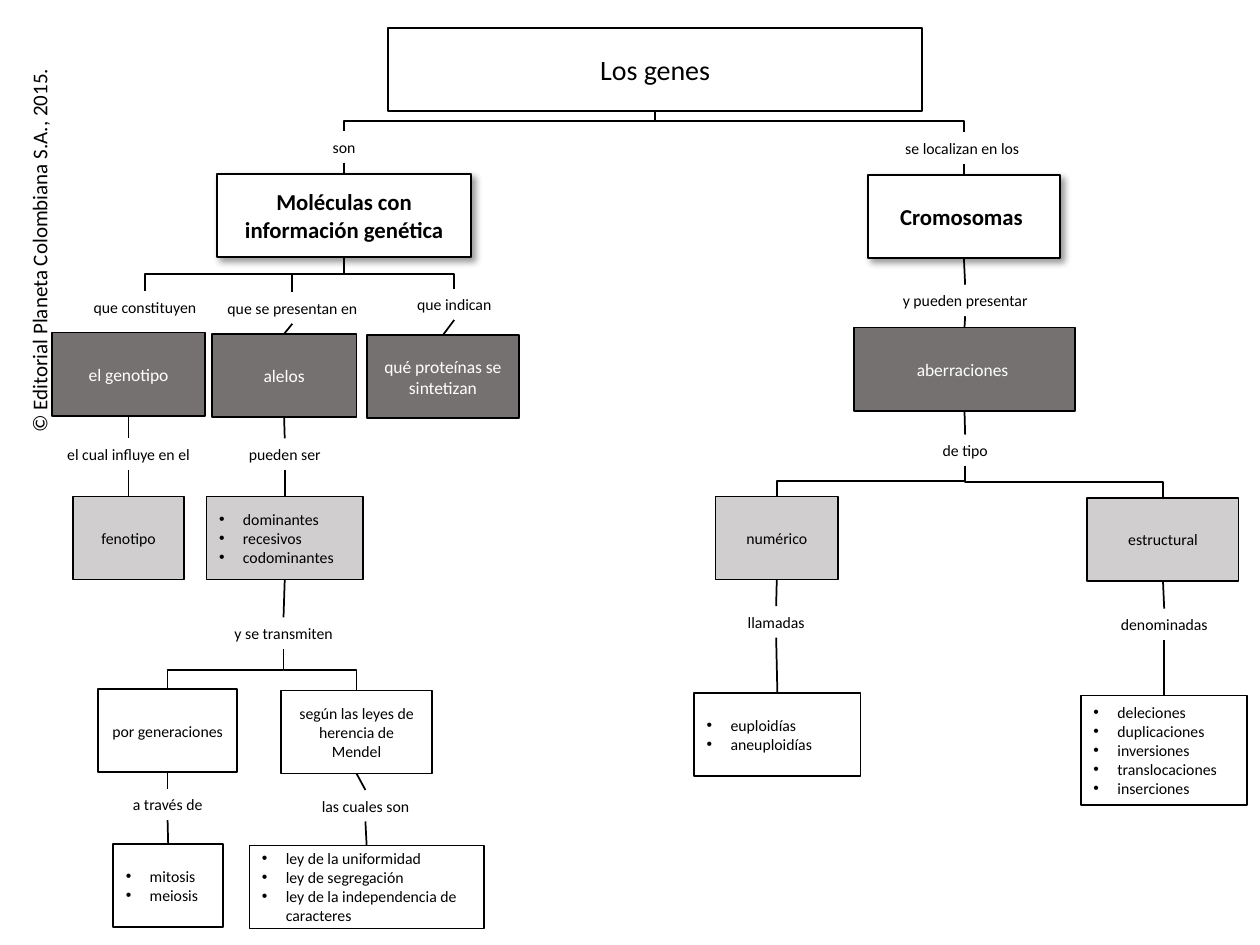
from dataclasses import dataclass

from lxml.etree import SubElement
from pptx import Presentation
from pptx.dml.color import RGBColor
from pptx.enum.shapes import MSO_CONNECTOR, MSO_SHAPE
from pptx.enum.text import MSO_ANCHOR, PP_ALIGN
from pptx.oxml.ns import qn
from pptx.util import Inches, Pt

# Grid of 100 columns by 75 rows; every place and length below counts cells.
COLUMNS, ROWS = 100, 75
BOX_ROWS, LABEL_ROWS = 6.6, 2.5
BULLET_INDENT = 1.9

COPYRIGHT = "© Editorial Planeta Colombiana S.A., 2015."
COPYRIGHT_PLACE = (3.1, 18.2, 31.2, 3)

# Concepts: style, centre column, top row, columns wide, text (a tuple is a bulleted list)
CONCEPTS = [
    ("title", 52, 2.2, 42.4, "Los genes"),
    ("heading", 27.3, 13.8, 20.2, "Moléculas con información genética"),
    ("heading", 76.5, 13.9, 15.2, "Cromosomas "),
    ("dark", 10.2, 26.4, 12.2, "el genotipo"),
    ("dark", 22.55, 26.5, 11.5, "alelos"),
    ("dark", 35.15, 26.6, 12.1, "qué proteínas se sintetizan"),
    ("dark", 76.55, 26, 17.5, "aberraciones "),
    ("light", 10.2, 39.4, 8.8, "fenotipo"),
    ("light", 22.6, 39.4, 12.4, ("dominantes", "recesivos", "codominantes")),
    ("light", 61.65, 39.4, 9.7, "numérico"),
    ("light", 92.3, 39.5, 12, "estructural"),
    ("plain", 13.3, 54.7, 11, "por generaciones"),
    ("plain", 28.3, 54.8, 12, "según las leyes de herencia de Mendel"),
    ("plain", 61.7, 55, 13.2, ("euploidías", "aneuploidías")),
    ("tall", 92.4, 55.2, 13.2,
     ("deleciones", "duplicaciones", "inversiones", "translocaciones", "inserciones")),
    ("plain", 13.35, 67, 8.7, ("mitosis", "meiosis")),
    ("plain", 29.1, 67.1, 18.6,
     ("ley de la uniformidad", "ley de segregación", "ley de la independencia de caracteres")),
]

# Linking words: centre column, top row, columns wide, text
LINKING_WORDS = [
    (27.3, 10.4, 15.2, "son"),
    (76.5, 10.5, 15.2, "se localizan en los "),
    (11.5, 23.1, 15.2, "que constituyen"),
    (23.2, 23.2, 13.6, "que se presentan en"),
    (36.05, 22.9, 11.7, "que indican"),
    (76.6, 22.6, 13.6, "y pueden presentar"),
    (10.2, 34.8, 13.6, "el cual influye en el"),
    (22.6, 34.8, 13.6, "pueden ser"),
    (76.6, 34.5, 15.2, "de tipo"),
    (22.5, 49, 15.2, "y se transmiten"),
    (61.6, 48.1, 15.2, "llamadas"),
    (92.4, 48.3, 15.2, "denominadas"),
    (13.3, 62.6, 15.2, "a través de"),
    (29, 62.7, 15.2, "las cuales son"),
]

# Straight chains, named by the text (or first list item) of each part
CHAINS = [
    ("son", "Moléculas con información genética"),
    ("se localizan en los ", "Cromosomas ", "y pueden presentar", "aberraciones ", "de tipo"),
    ("el genotipo", "el cual influye en el", "fenotipo"),
    ("que se presentan en", "alelos", "pueden ser", "dominantes", "y se transmiten"),
    ("que indican", "qué proteínas se sintetizan"),
    ("por generaciones", "a través de", "mitosis"),
    ("según las leyes de herencia de Mendel", "las cuales son", "ley de la uniformidad"),
    ("numérico", "llamadas", "euploidías"),
    ("estructural", "denominadas", "deleciones"),
]

# Forks: parent, children joined to it, children joined to its crossbar, children hung below it
FORKS = [
    ("Los genes", ["son"], ["se localizan en los "], []),
    ("Moléculas con información genética", ["que constituyen"], ["que indican"],
     ["que se presentan en"]),
    ("de tipo", ["numérico", "estructural"], [], []),
    ("y se transmiten", ["según las leyes de herencia de Mendel"], ["por generaciones"], []),
]


@dataclass(frozen=True)
class Theme:
    black = RGBColor(0, 0, 0)
    white = RGBColor(255, 255, 255)
    dark = RGBColor(0x76, 0x71, 0x71)
    light = RGBColor(0xD0, 0xCE, 0xCE)
    font = "Calibri"
    line = Pt(1)
    title, heading, copyright, concept, small = Pt(16), Pt(13), Pt(12), Pt(10), Pt(9)


THEME = Theme()
# Style: fill, text colour, type size, bold, rows high
STYLES = {
    "title": (THEME.white, THEME.black, THEME.title, False, BOX_ROWS),
    "heading": (THEME.white, THEME.black, THEME.heading, True, BOX_ROWS),
    "dark": (THEME.dark, THEME.white, THEME.concept, False, BOX_ROWS),
    "light": (THEME.light, THEME.black, THEME.small, False, BOX_ROWS),
    "plain": (THEME.white, THEME.black, THEME.small, False, BOX_ROWS),
    "tall": (THEME.white, THEME.black, THEME.small, False, 8.7),
}

deck = Presentation()
deck.slide_width, deck.slide_height = Inches(10), Inches(7.5)
CELL = deck.slide_width / COLUMNS
slide = deck.slides.add_slide(deck.slide_layouts[6])
parts = {}


def cells(*counts):
    return [round(count * CELL) for count in counts]


def apply(target, **formats):
    for attribute, value in formats.items():
        setattr(target, attribute, value)


def write(frame, text, color, size, bold=False, align=PP_ALIGN.CENTER):
    items = [text] if isinstance(text, str) else text
    for index, item in enumerate(items):
        paragraph = frame.add_paragraph() if index else frame.paragraphs[0]
        paragraph.alignment = align
        if items is text:
            paragraph.alignment = PP_ALIGN.LEFT
            indent, = cells(BULLET_INDENT)
            properties = paragraph._p.get_or_add_pPr()
            properties.set("marL", str(indent))
            properties.set("indent", str(-indent))
            SubElement(properties, qn("a:buFont"), typeface="Arial")
            SubElement(properties, qn("a:buChar"), char="•")
        run = paragraph.add_run()
        run.text = item
        apply(run.font, name=THEME.font, size=size, bold=bold)
        run.font.color.rgb = color


def cast_shadow(shape):
    effects = shape._element.spPr.find(qn("a:effectLst"))
    shadow = SubElement(effects, qn("a:outerShdw"), blurRad=str(Pt(4)), dist=str(Pt(3)),
                        dir="2700000", algn="tl", rotWithShape="0")
    color = SubElement(shadow, qn("a:srgbClr"), val=str(THEME.black))
    SubElement(color, qn("a:alpha"), val="40000")


def add_concept(style, centre, row, width, text):
    fill, color, size, bold, height = STYLES[style]
    box = slide.shapes.add_shape(MSO_SHAPE.RECTANGLE,
                                 *cells(centre - width / 2, row, width, height))
    box.shadow.inherit = False
    if style == "heading":
        cast_shadow(box)
    box.fill.solid()
    box.fill.fore_color.rgb = fill
    box.line.color.rgb = THEME.black
    box.line.width = THEME.line
    apply(box.text_frame, word_wrap=True, vertical_anchor=MSO_ANCHOR.MIDDLE)
    write(box.text_frame, text, color, size, bold)
    parts[text if isinstance(text, str) else text[0]] = box


def add_linking_words(centre, row, width, text):
    label = slide.shapes.add_textbox(*cells(centre - width / 2, row, width, LABEL_ROWS))
    label.text_frame.word_wrap = True
    write(label.text_frame, text, THEME.black, THEME.small)
    parts[text] = label


def connect(kind, *ends):
    connector = slide.shapes.add_connector(kind, *ends)
    connector.line.color.rgb = THEME.black
    connector.line.width = THEME.line
    SubElement(connector._element.spPr, qn("a:effectLst"))
    return connector


def middle(part):
    return part.left + part.width // 2


def add_step(x1, y1, x2, y2):
    """Connector that runs down, across and down again: an elbow turned a quarter."""
    run, drop = abs(x2 - x1), y2 - y1
    elbow = connect(MSO_CONNECTOR.ELBOW, 0, 0, drop, run)
    apply(elbow, left=(x1 + x2 - drop) // 2, top=(y1 + y2 - run) // 2)
    transform = elbow._element.spPr.find(qn("a:xfrm"))
    transform.set("rot", str((90 if x2 < x1 else 270) * 60000))
    if x2 > x1:
        transform.set("flipH", "1")


def add_fork(parent, joined, branches, hung):
    stem = parts[parent]
    x, bottom = middle(stem), stem.top + stem.height
    crossbar = (bottom + parts[joined[0]].top) // 2
    for child in map(parts.get, joined):
        add_step(x, bottom, middle(child), child.top)
    for child in map(parts.get, branches):
        corner = connect(MSO_CONNECTOR.ELBOW, x, crossbar, middle(child), child.top)
        corner._element.spPr.find(qn("a:prstGeom")).set("prst", "bentConnector2")
    for child in map(parts.get, hung):
        connect(MSO_CONNECTOR.STRAIGHT, middle(child), crossbar, middle(child), child.top)


credit = slide.shapes.add_textbox(*cells(-12.5, *COPYRIGHT_PLACE[1:]))
credit.rotation = 270
credit.text_frame.word_wrap = False
write(credit.text_frame, COPYRIGHT, THEME.black, THEME.copyright, align=PP_ALIGN.LEFT)

for concept in CONCEPTS:
    add_concept(*concept)
for words in LINKING_WORDS:
    add_linking_words(*words)
for chain in CHAINS:
    for upper, lower in zip(chain, chain[1:]):
        link = connect(MSO_CONNECTOR.STRAIGHT, 0, 0, 0, 0)
        link.begin_connect(parts[upper], 2)
        link.end_connect(parts[lower], 0)
for fork in FORKS:
    add_fork(*fork)

deck.save("out.pptx")
